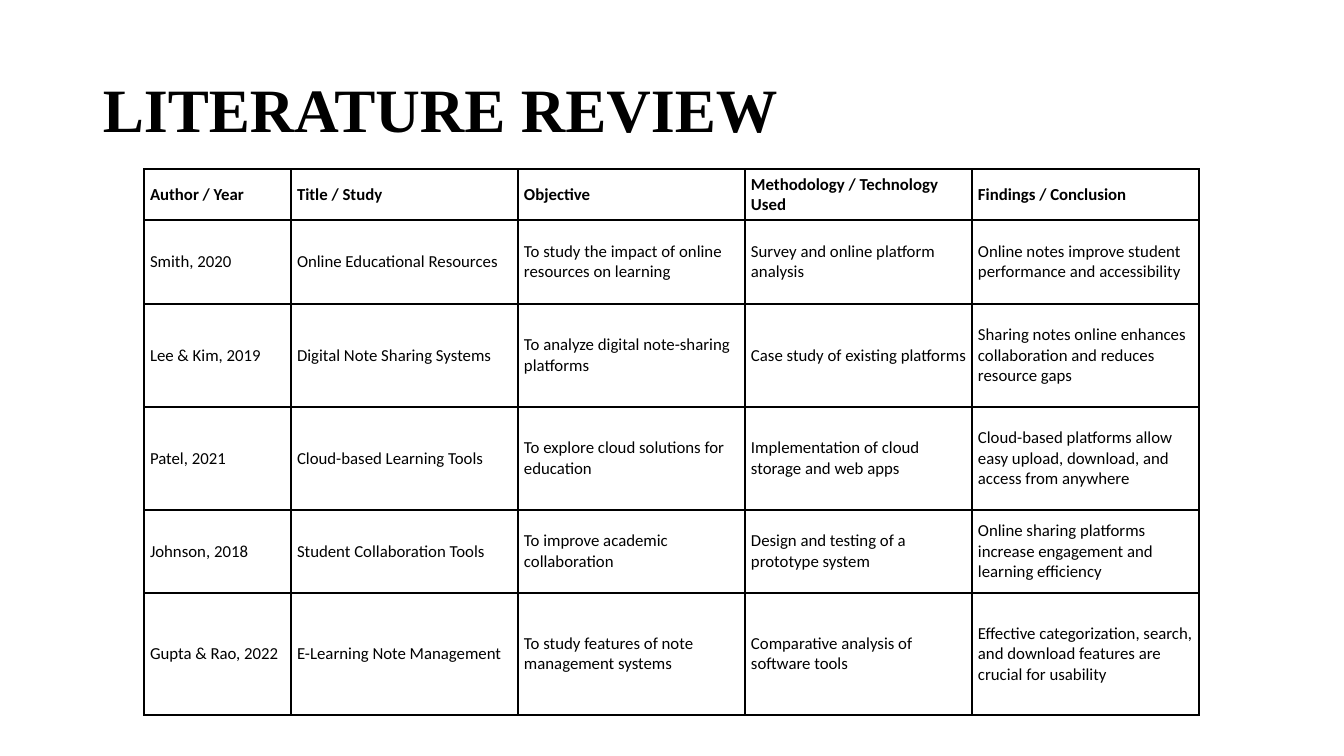
from pptx import Presentation
from pptx.dml.color import RGBColor as RGB
from pptx.enum.text import MSO_ANCHOR as ANCHOR
from pptx.oxml import parse_xml
from pptx.oxml.ns import nsdecls
from pptx.util import Pt

PX = 914400 / 100.8
THEME = {
    "ink": "000000", "paper": "FFFFFF",
    "title_font": "Times New Roman", "title_size": 44,
    "table_font": "Calibri", "table_size": 12, "border": 1,
}


def px(n):
    return round(n * PX)


def add_run(p, text, font, size, bold):
    r = p.add_run()
    r.text = text
    r.font.name, r.font.size, r.font.bold = font, Pt(size), bold
    r.font.color.rgb = RGB.from_string(THEME["ink"])


prs = Presentation()
prs.slide_width, prs.slide_height = px(1344), px(756)
s = prs.slides.add_slide(prs.slide_layouts[6])

# Title
title = s.shapes.add_textbox(px(93), px(40), px(1159), px(146))
tf = title.text_frame
tf.word_wrap = True
tf.vertical_anchor = ANCHOR.MIDDLE
p = tf.paragraphs[0]
p.line_spacing = 0.9
add_run(p, "LITERATURE REVIEW", THEME["title_font"], THEME["title_size"], True)

# Table contents, header first
studies = [
    ("Author / Year", "Title / Study", "Objective",
     "Methodology / Technology Used", "Findings / Conclusion"),
    ("Smith, 2020", "Online Educational Resources",
     "To study the impact of online resources on learning",
     "Survey and online platform analysis",
     "Online notes improve student performance and accessibility"),
    ("Lee & Kim, 2019", "Digital Note Sharing Systems",
     "To analyze digital note-sharing platforms",
     "Case study of existing platforms",
     "Sharing notes online enhances collaboration and reduces resource gaps"),
    ("Patel, 2021", "Cloud-based Learning Tools",
     "To explore cloud solutions for education",
     "Implementation of cloud storage and web apps",
     "Cloud-based platforms allow easy upload, download, and access from anywhere"),
    ("Johnson, 2018", "Student Collaboration Tools",
     "To improve academic collaboration",
     "Design and testing of a prototype system",
     "Online sharing platforms increase engagement and learning efficiency"),
    ("Gupta & Rao, 2022", "E-Learning Note Management",
     "To study features of note management systems",
     "Comparative analysis of software tools",
     "Effective categorization, search, and download features are crucial for usability"),
]
col_widths = [147] + [227] * 4
row_heights = [51, 84, 103, 103, 83, 122]

# Table grid
table = s.shapes.add_table(len(row_heights), len(col_widths), px(144), px(169),
                           px(sum(col_widths)), px(sum(row_heights))).table
table.first_row = table.horz_banding = False
for col, width in zip(table.columns, col_widths):
    col.width = px(width)
for row, height in zip(table.rows, row_heights):
    row.height = px(height)

# Cells: text, white fill and thin borders
for i, study in enumerate(studies):
    for j, text in enumerate(study):
        cell = table.cell(i, j)
        cell.vertical_anchor = ANCHOR.MIDDLE
        cell.margin_left, cell.margin_right = px(6), px(5)
        cell.margin_top = cell.margin_bottom = px(3)
        add_run(cell.text_frame.paragraphs[0], text,
                THEME["table_font"], THEME["table_size"], i == 0)
        tc_pr = cell._tc.get_or_add_tcPr()
        for side in ("lnL", "lnR", "lnT", "lnB"):
            tc_pr.append(parse_xml(
                f'<a:{side} {nsdecls("a")} w="{Pt(THEME["border"])}"><a:solidFill>'
                f'<a:srgbClr val="{THEME["ink"]}"/></a:solidFill></a:{side}>'))
        cell.fill.solid()
        cell.fill.fore_color.rgb = RGB.from_string(THEME["paper"])

prs.save("out.pptx")
